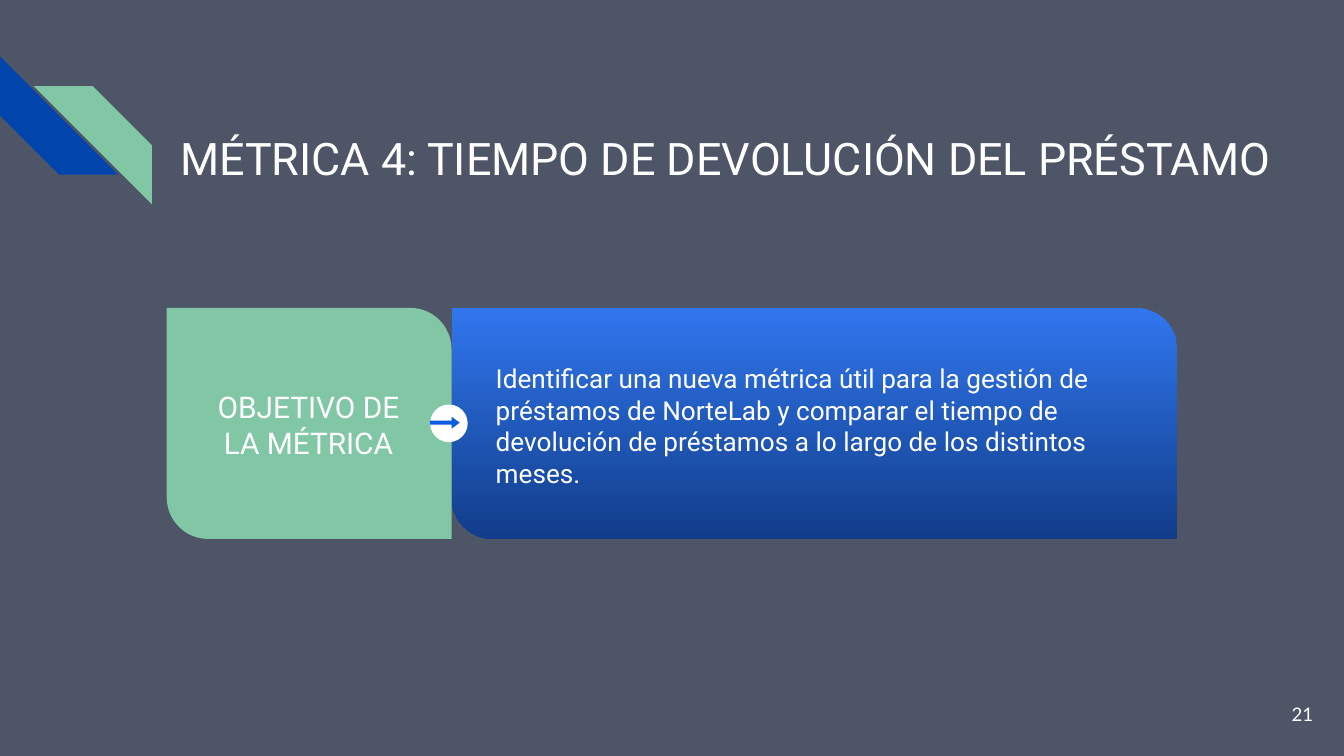
from pptx import Presentation
from pptx.dml.color import RGBColor
from pptx.enum.shapes import MSO_SHAPE as Shape
from pptx.enum.text import MSO_ANCHOR as Anchor, PP_ALIGN as Align
from pptx.util import Inches, Pt

COLORS = {
    "slate": "4E5567", "navy": "0145AC", "green": "82C7A5", "white": "FFFFFF",
    "arrow": "0D5CDF", "light_blue": "3176EE", "dark_blue": "113D8A",
}


def add_filled(kind, left, top, width, height, color, adjustments=()):
    shape = page.shapes.add_shape(
        kind, Inches(left), Inches(top), Inches(width), Inches(height))
    shape.shadow.inherit = False
    shape.line.fill.background()
    shape.fill.solid()
    shape.fill.fore_color.rgb = RGBColor.from_string(COLORS[color])
    for index, value in enumerate(adjustments):
        shape.adjustments[index] = value
    return shape


def write(box, text, size, align=Align.LEFT, anchor=Anchor.TOP, font="Roboto"):
    frame = box.text_frame
    frame.word_wrap = True
    frame.vertical_anchor = anchor
    frame.margin_left = frame.margin_right = Inches(0.1)
    frame.margin_top = frame.margin_bottom = Inches(0.1)
    para = frame.paragraphs[0]
    para.alignment = align
    span = para.add_run()
    span.text = text
    span.font.size = Pt(size)
    span.font.name = font
    span.font.color.rgb = RGBColor.from_string(COLORS["white"])


deck = Presentation()
deck.slide_width = Inches(10)
deck.slide_height = deck.slide_width * 9 // 16
page = deck.slides.add_slide(deck.slide_layouts[5])
page.background.fill.solid()
page.background.fill.fore_color.rgb = RGBColor.from_string(COLORS["slate"])

navy_stripe = add_filled(Shape.DIAGONAL_STRIPE, 0, 0.42, 0.88, 0.88, "navy", [0.5])
navy_stripe.rotation = 270
green_stripe = add_filled(Shape.DIAGONAL_STRIPE, 0.25, 0.64, 0.88, 0.88, "green", [0.5])
green_stripe.element.spPr.xfrm.set("flipH", "1")

title = page.shapes.title
title.left, title.top = Inches(1.24), Inches(0.87)
title.width, title.height = Inches(8.33), Inches(0.75)
write(title, "MÉTRICA 4: TIEMPO DE DEVOLUCIÓN DEL PRÉSTAMO", 24)

corners = [0, 0.18]
add_filled(Shape.ROUND_2_DIAG_RECTANGLE, 1.24, 2.29, 2.12, 1.72, "green", corners)
label = add_filled(Shape.RECTANGLE, 1.5, 2.79, 1.59, 0.71, "green")
write(label, "OBJETIVO DE LA MÉTRICA", 16, Align.CENTER)

panel = add_filled(
    Shape.ROUND_2_DIAG_RECTANGLE, 3.36, 2.29, 5.4, 1.72, "light_blue", corners)
panel.fill.gradient()
panel.fill.gradient_angle = 270
for stop, position, color in zip(
        panel.fill.gradient_stops, (0, 1), ("light_blue", "dark_blue")):
    stop.position = position
    stop.color.rgb = RGBColor.from_string(COLORS[color])

goal = page.shapes.add_textbox(Inches(3.59), Inches(2.6), Inches(4.95), Inches(1.16))
write(goal, "Identificar una nueva métrica útil para la gestión de préstamos de "
            "NorteLab y comparar el tiempo de devolución de préstamos a lo largo "
            "de los distintos meses.", 14)

add_filled(Shape.OVAL, 3.2, 3.01, 0.28, 0.28, "white")
add_filled(Shape.RIGHT_ARROW, 3.2, 3.1, 0.22, 0.09, "arrow", [0.32, 0.67])

number = page.shapes.add_textbox(Inches(9.27), Inches(5.1), Inches(0.6), Inches(0.43))
write(number, "21", 10, Align.RIGHT, Anchor.MIDDLE, "Lato")

deck.save("out.pptx")
